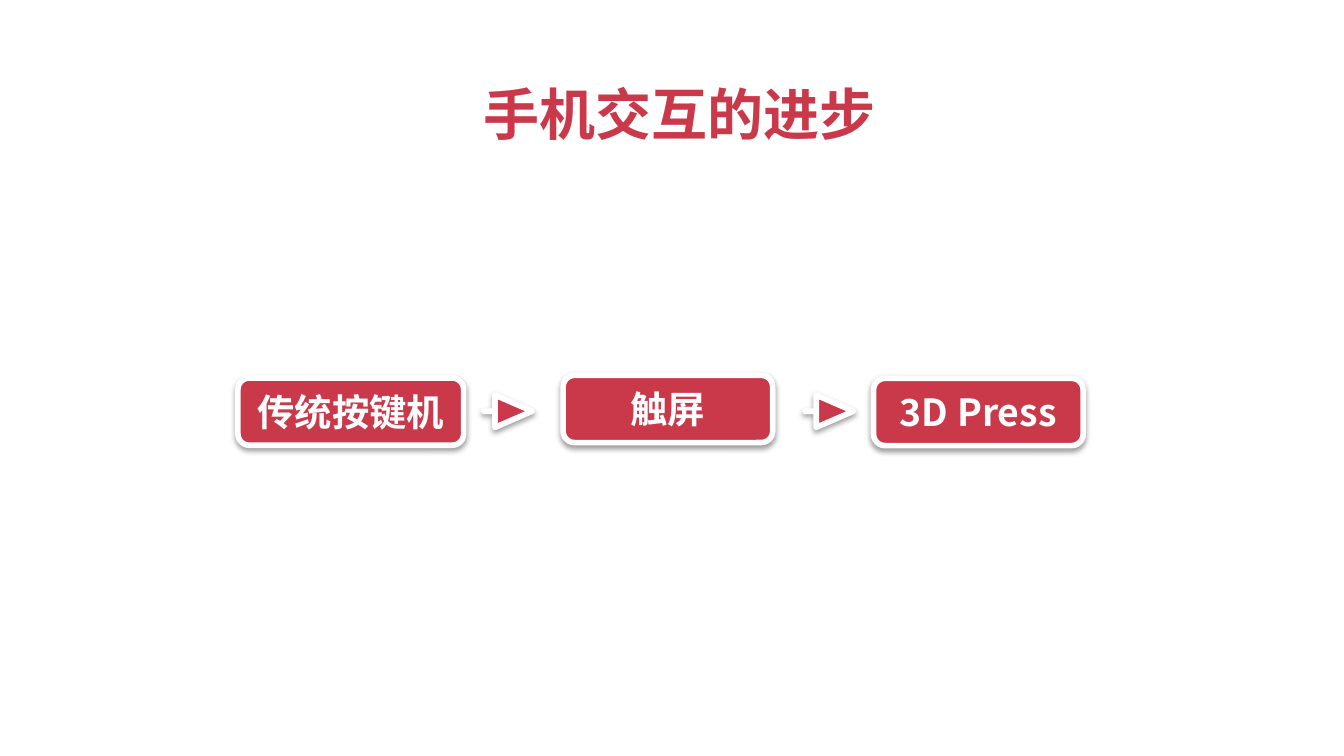
from pptx import Presentation
from pptx import util as u
from pptx.dml.color import RGBColor
from pptx.enum import shapes, text
from pptx.oxml import parse_xml
from pptx.oxml.ns import nsdecls

RED = RGBColor(0xC9, 0x39, 0x4A)
WHITE = RGBColor(0xFF, 0xFF, 0xFF)
FONT = "Noto Sans CJK SC"
W = u.Inches(10)
H = W * 9 // 16

# Boxes in percent of the slide: left, top, width, height
TITLE = (34.8, 9.7, 31.5, 10.84)
STEPS = [
    ("传统按键机", (17.7, 50, 16.8, 8.9)),
    ("触屏", (41.9, 49.65, 15.6, 8.9)),
    ("3D Press", (65, 50.05, 15.6, 8.9)),
]
ARROWS = [(left, 51.2, 2.4, 6.4) for left in (36.6, 60.5)]

SHADOW = (
    f'<a:outerShdw {nsdecls("a")} blurRad="{u.Pt(3.1)}" dist="{u.Pt(1.6)}" '
    'dir="5400000" rotWithShape="0"><a:srgbClr val="000000">'
    '<a:alpha val="38000"/></a:srgbClr></a:outerShdw>'
)


def place(box):
    """Turn percentages of the slide into lengths."""
    return [round(share * side / 100) for share, side in zip(box, (W, H, W, H))]


def write(tf, words, size, color):
    p = tf.paragraphs[0]
    p.alignment = text.PP_ALIGN.CENTER
    r = p.add_run()
    r.text = words
    for name, value in {"name": FONT, "size": u.Pt(size), "bold": True}.items():
        setattr(r.font, name, value)
    r.font.color.rgb = color
    # Chinese characters take the East Asian font
    r.font._element.append(
        parse_xml(f'<a:ea {nsdecls("a")} typeface="{FONT}"/>'))


def add_title(s, box, words):
    tf = s.shapes.add_textbox(*place(box)).text_frame
    fmt = {"word_wrap": False, "auto_size": text.MSO_AUTO_SIZE.SHAPE_TO_FIT_TEXT}
    for name, value in fmt.items():
        setattr(tf, name, value)
    write(tf, words, 30, RED)


def add_raised(s, kind, box, adjustments):
    """Red shape with a white rim and a soft shadow."""
    sp = s.shapes.add_shape(kind, *place(box))
    for i, value in enumerate(adjustments):
        sp.adjustments[i] = value
    sp.fill.solid()
    sp.fill.fore_color.rgb = RED
    sp.line.color.rgb = WHITE
    sp.line.width = u.Pt(3)
    sp.shadow.inherit = False
    sp._element.spPr.find("{*}effectLst").append(parse_xml(SHADOW))
    return sp


def add_step(s, box, words):
    sp = add_raised(s, shapes.MSO_SHAPE.ROUNDED_RECTANGLE, box, [0.17])
    tf = sp.text_frame
    fmt = {"vertical_anchor": text.MSO_ANCHOR.MIDDLE, "word_wrap": True}
    for name, value in fmt.items():
        setattr(tf, name, value)
    write(tf, words, 20, WHITE)


def add_arrow(s, box):
    sp = add_raised(s, shapes.MSO_SHAPE.DOWN_ARROW, box, [0, 1.15])
    sp.rotation = 270


def main():
    prs = Presentation()
    prs.slide_width, prs.slide_height = W, H
    s = prs.slides.add_slide(prs.slide_layouts[6])

    # Title
    add_title(s, TITLE, "手机交互的进步")

    # Row of steps with an arrow in each gap
    for words, box in STEPS:
        add_step(s, box, words)
    for box in ARROWS:
        add_arrow(s, box)

    prs.save("out.pptx")


if __name__ == "__main__":
    main()
